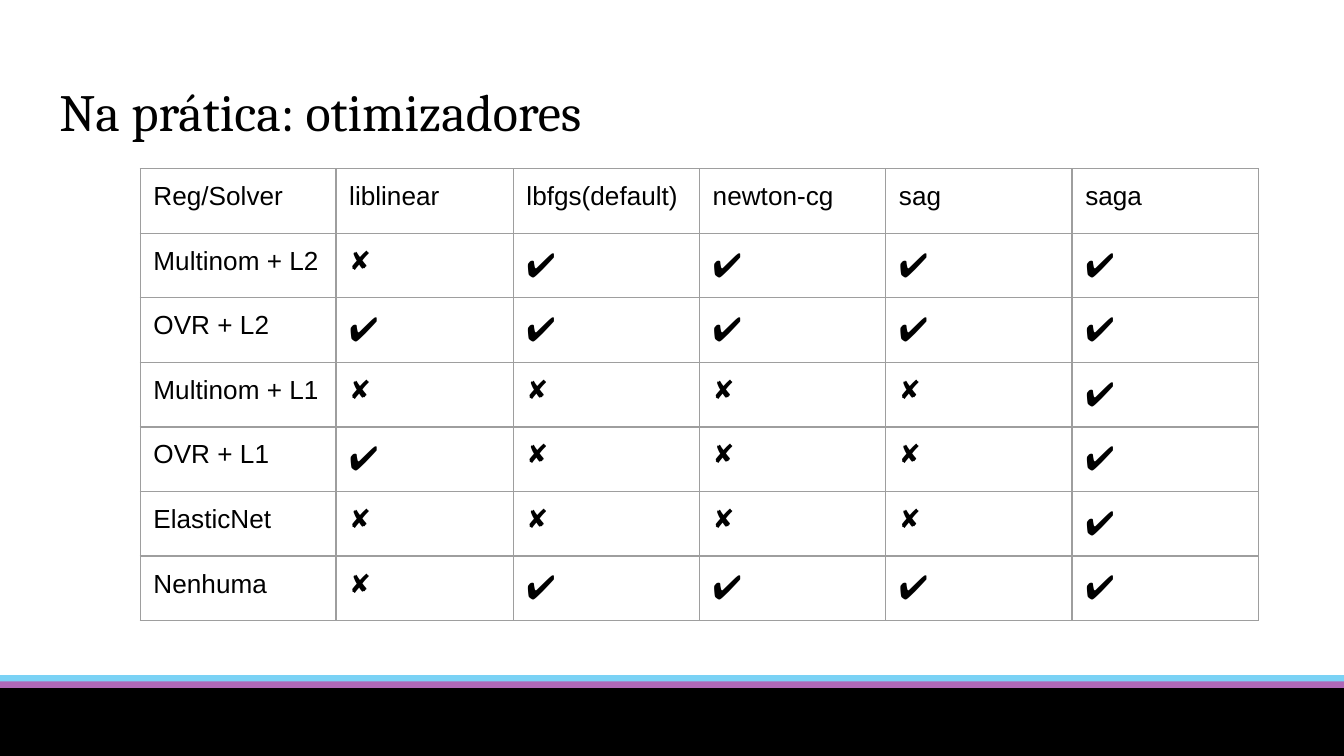
from dataclasses import dataclass

from lxml.etree import SubElement
from pptx import Presentation
from pptx.dml.color import RGBColor as RGB
from pptx.enum.shapes import MSO_SHAPE as Shape
from pptx.enum.text import MSO_ANCHOR as Anchor, PP_ALIGN as Align
from pptx.oxml.ns import qn
from pptx.util import Cm, Pt


@dataclass(frozen=True)
class Theme:
    ink: RGB = RGB(0, 0, 0)
    blue: RGB = RGB(0x00, 0xA9, 0xEC)
    pink: RGB = RGB(0xE3, 0x00, 0x7B)
    grid: str = "9E9E9E"
    grid_width: Pt = Pt(0.75)
    title_font: str = "Cambria"
    table_font: str = "Arial"
    title_size: Pt = Pt(28)
    label_size: Pt = Pt(14)
    check_size: Pt = Pt(18)
    inset: Cm = Cm(0.25)


THEME = Theme()
YES, NO = "✔", "✘"
SOLVERS = ["liblinear", "lbfgs(default)", "newton-cg", "sag", "saga"]
SUPPORT = {
    "Multinom + L2": [NO, YES, YES, YES, YES],
    "OVR + L2": [YES] * 5,
    "Multinom + L1": [NO, NO, NO, NO, YES],
    "OVR + L1": [YES, NO, NO, NO, YES],
    "ElasticNet": [NO, NO, NO, NO, YES],
    "Nenhuma": [NO, YES, YES, YES, YES],
}
COLUMN_WIDTHS = [3.7, 3.35] + [3.52] * 4
ROW_HEIGHT = 1.22


def style_text(paragraph, font_name, size):
    paragraph.alignment = Align.LEFT
    paragraph.font.name = font_name
    paragraph.font.size = size
    paragraph.font.color.rgb = THEME.ink


def set_insets(holder):
    for side in ("left", "right", "top", "bottom"):
        setattr(holder, f"margin_{side}", THEME.inset)


def add_band(slide, left, top, width, color, opacity=100):
    band = slide.shapes.add_shape(
        Shape.RECTANGLE, Cm(left), Cm(top), Cm(width), Cm(1.27))
    band.shadow.inherit = False
    band.fill.solid()
    band.fill.fore_color.rgb = color
    if opacity < 100:
        band.line.fill.background()
        tint = band.fill._xPr.find(qn("a:solidFill"))[0]
        SubElement(tint, qn("a:alpha"), val=str(opacity * 1000))
    else:
        band.line.color.rgb = color
        band.line.width = Pt(0.75)


def set_title(slide, text):
    title = slide.shapes.title
    title.left, title.top = Cm(0.87), Cm(1.24)
    title.width, title.height = Cm(23.67), Cm(1.6)
    frame = title.text_frame
    frame.text = text
    frame.vertical_anchor = Anchor.TOP
    set_insets(frame)
    style_text(frame.paragraphs[0], THEME.title_font, THEME.title_size)


def add_borders(cell):
    properties = cell._tc.get_or_add_tcPr()
    for side in ("lnL", "lnR", "lnT", "lnB"):
        border = SubElement(properties, qn(f"a:{side}"), w=str(THEME.grid_width))
        fill = SubElement(border, qn("a:solidFill"))
        SubElement(fill, qn("a:srgbClr"), val=THEME.grid)


def fill_cell(cell, text):
    add_borders(cell)
    cell.fill.background()
    set_insets(cell)
    cell.vertical_anchor = Anchor.TOP
    cell.text = text
    size = THEME.check_size if text == YES else THEME.label_size
    style_text(cell.text_frame.paragraphs[0], THEME.table_font, size)


def add_support_table(slide):
    rows = [["Reg/Solver", *SOLVERS]]
    rows += [[penalty, *marks] for penalty, marks in SUPPORT.items()]
    table = slide.shapes.add_table(
        len(rows), len(COLUMN_WIDTHS), Cm(2.65), Cm(3.19),
        Cm(sum(COLUMN_WIDTHS)), Cm(ROW_HEIGHT * len(rows))).table
    table.first_row = table.horz_banding = False
    for column, width in zip(table.columns, COLUMN_WIDTHS):
        column.width = Cm(width)
    for row, texts in zip(table.rows, rows):
        row.height = Cm(ROW_HEIGHT)
        for cell, text in zip(row.cells, texts):
            fill_cell(cell, text)


def main():
    deck = Presentation()
    deck.slide_width, deck.slide_height = Cm(25.4), Cm(14.29)
    slide = deck.slides.add_slide(deck.slide_layouts[5])
    add_band(slide, -0.33, 12.76, 26.52, THEME.blue, 52)
    add_band(slide, -0.3, 12.88, 26.52, THEME.pink, 50)
    add_band(slide, 0, 13.01, 25.4, THEME.ink)
    set_title(slide, "Na prática: otimizadores")
    add_support_table(slide)
    deck.save("out.pptx")


if __name__ == "__main__":
    main()
